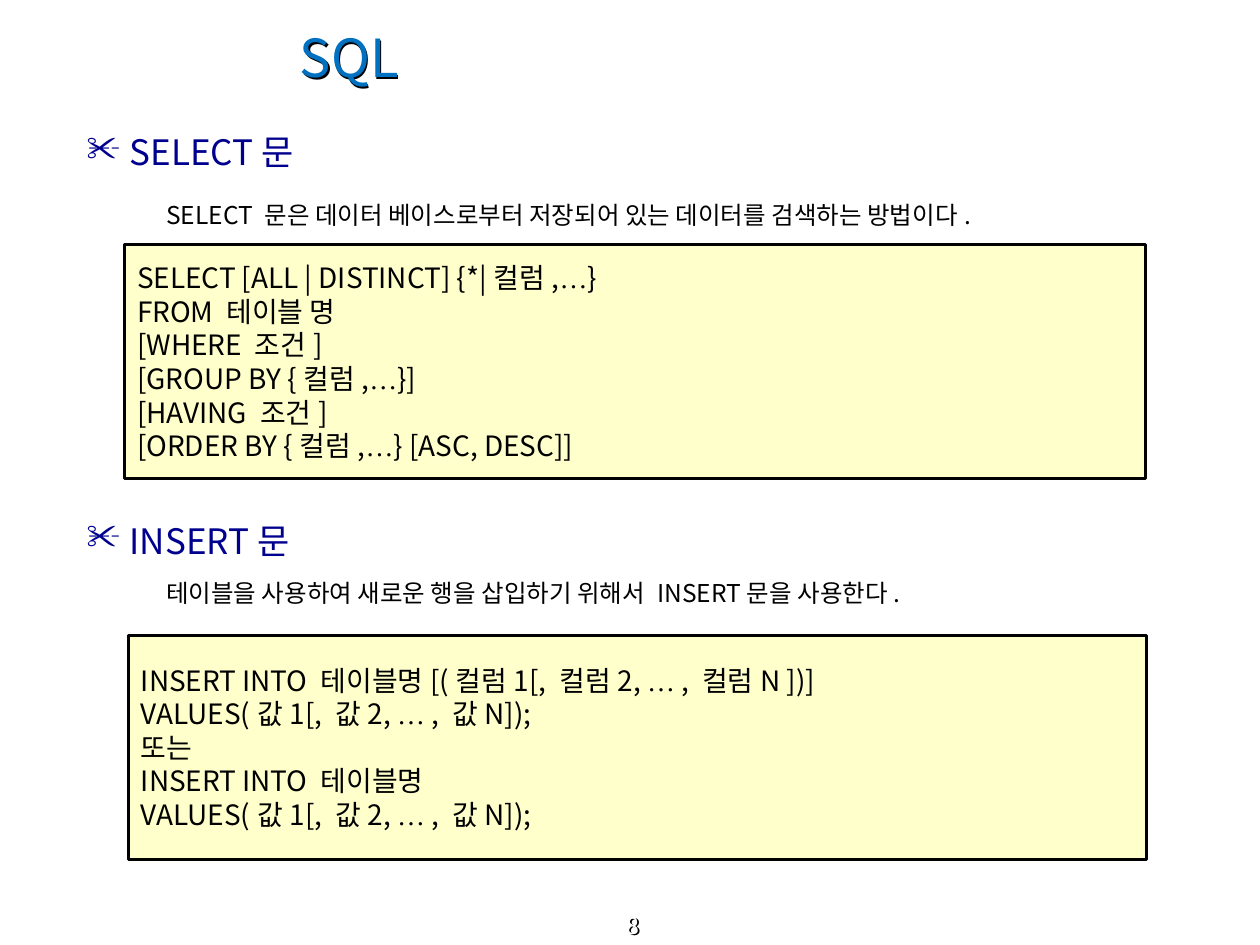
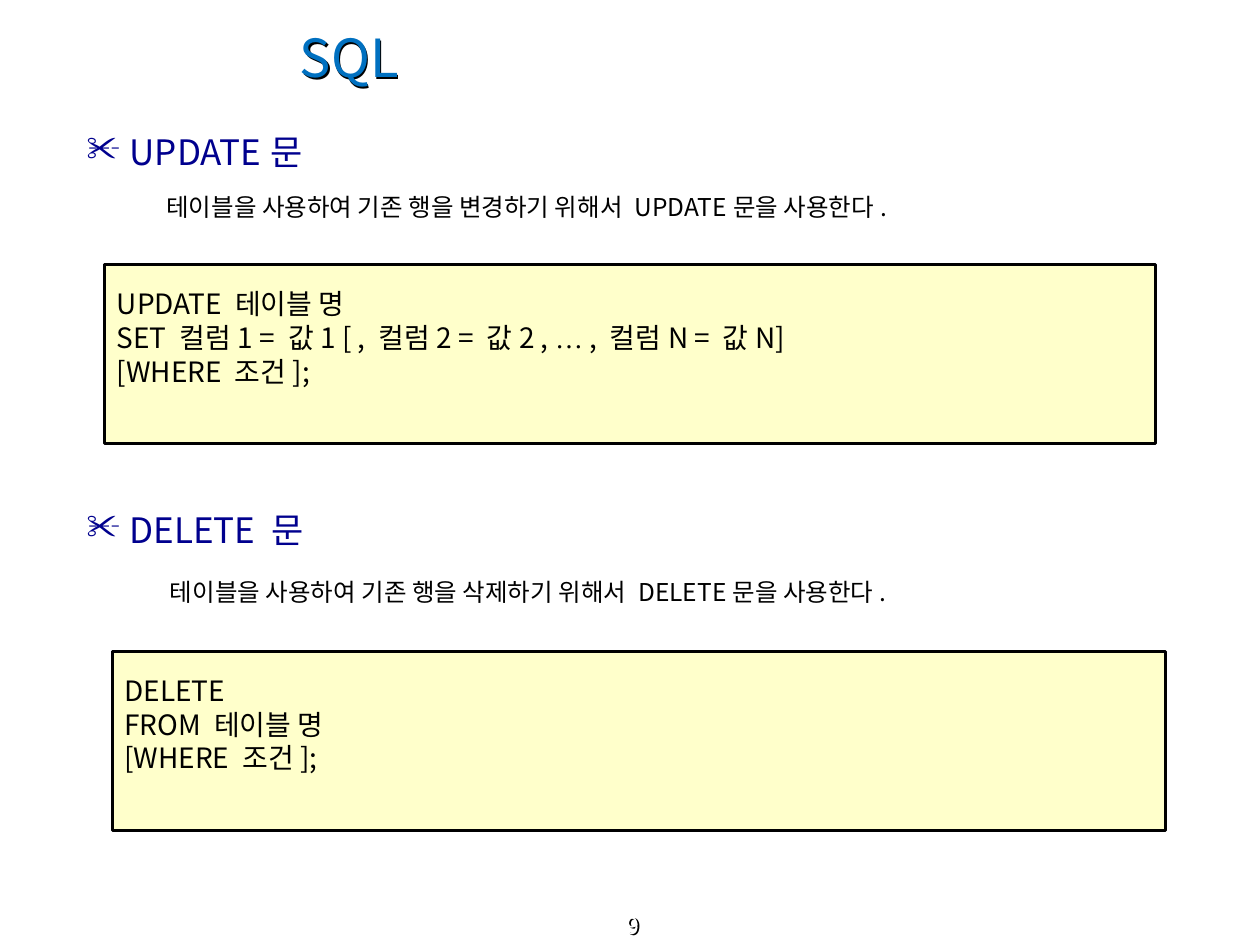
import lxml.etree
import pptx
import pptx.dml.color
import pptx.enum.shapes
import pptx.enum.text
import pptx.oxml.ns
import pptx.util

BLACK = pptx.dml.color.RGBColor(0x00, 0x00, 0x00)
WHITE = pptx.dml.color.RGBColor(0xFF, 0xFF, 0xFF)
TITLE_BLUE = pptx.dml.color.RGBColor(0x00, 0x70, 0xC0)
HEADING_NAVY = pptx.dml.color.RGBColor(0x00, 0x00, 0x8E)
CODE_YELLOW = pptx.dml.color.RGBColor(0xFF, 0xFF, 0x99)
FONT = "Noto Sans CJK KR"
ELLIPSIS_FONT = "Times New Roman"
LINE_HEIGHT = 1.2
FIRST_PAGE = 8

presentation = pptx.Presentation()
presentation.slide_width = pptx.util.Inches(10)
presentation.slide_height = pptx.util.Inches(7.5)
CELL = presentation.slide_width / 100
align = pptx.enum.text.PP_ALIGN
anchors = pptx.enum.text.MSO_ANCHOR
qn = pptx.oxml.ns.qn


def add_element(parent, tag, **attributes):
    return lxml.etree.SubElement(parent, qn(tag), attributes)


def write(shape, cells, lines, size, color, anchor=anchors.TOP,
          alignment=align.LEFT, bullet=None, text_shadow=False):
    shape.left, shape.top, shape.width, shape.height = [round(cell * CELL) for cell in cells]
    shape.shadow.inherit = False
    if text_shadow:
        effects = shape._element.spPr.find(qn("a:effectLst"))
        shadow = add_element(effects, "a:outerShdw", dist="18000", dir="2700000", algn="tl")
        add_element(shadow, "a:srgbClr", val=str(BLACK))
    frame = shape.text_frame
    frame.word_wrap = True
    frame.auto_size = pptx.enum.text.MSO_AUTO_SIZE.NONE
    frame.vertical_anchor = anchor
    for index, line in enumerate(lines):
        paragraph = frame.paragraphs[0] if index == 0 else frame.add_paragraph()
        properties = paragraph._p.get_or_add_pPr()
        indent = pptx.util.Inches(0.34) if bullet else 0
        properties.set("marL", str(indent))
        properties.set("indent", str(-indent))
        if bullet:
            bullet_color = add_element(properties, "a:buClr")
            add_element(bullet_color, "a:srgbClr", val=str(color))
            add_element(properties, "a:buChar", char=bullet)
        else:
            add_element(properties, "a:buNone")
        paragraph.alignment = alignment
        paragraph.space_before = pptx.util.Pt(0)
        paragraph.line_spacing = pptx.util.Pt(size * LINE_HEIGHT)
        paragraph.font.size = pptx.util.Pt(size)
        paragraph.font.color.rgb = color
        paragraph.font.name = FONT
        add_element(properties.find(qn("a:defRPr")), "a:ea", typeface=FONT)
        before, ellipsis, after = line.partition("…")
        for text in filter(None, (before, ellipsis, after)):
            run = paragraph.add_run()
            run.text = text
            if text == "…":
                run.font.name = ELLIPSIS_FONT


pages = [
    [
        {
            "heading": "SELECT문", "heading_row": 9.9,
            "description": "SELECT 문은 데이터 베이스로부터 저장되어 있는 데이터를 검색하는 방법이다.",
            "description_cells": (12.2, 15.4, 80.3, 4.8),
            "code": [
                "SELECT [ALL | DISTINCT] {*|컬럼,…}",
                "FROM 테이블 명",
                "[WHERE 조건]",
                "[GROUP BY {컬럼,…}]",
                "[HAVING 조건]",
                "[ORDER BY {컬럼,…} [ASC, DESC]]",
            ],
            "code_cells": (9.9, 19.4, 81, 18.6), "spare_lines": 0,
        },
        {
            "heading": "INSERT문", "heading_row": 40.7,
            "description": "테이블을 사용하여 새로운 행을 삽입하기 위해서 INSERT문을 사용한다.",
            "description_cells": (12.2, 45.4, 82.5, 4.7),
            "code": [
                "INSERT INTO 테이블명[(컬럼1[, 컬럼2, … , 컬럼N ])]",
                "VALUES(값1[, 값2, … , 값N]);",
                "또는",
                "INSERT INTO 테이블명",
                "VALUES(값1[, 값2, … , 값N]);",
            ],
            "code_cells": (10.2, 50.4, 80.8, 17.8), "spare_lines": 0,
        },
    ],
    [
        {
            "heading": "UPDATE문", "heading_row": 9.9,
            "description": "테이블을 사용하여 기존 행을 변경하기 위해서 UPDATE문을 사용한다.",
            "description_cells": (12.2, 14.7, 76.4, 4.8),
            "code": [
                "UPDATE 테이블 명",
                "SET 컬럼1 = 값1 [ , 컬럼2 = 값2 , … , 컬럼N = 값N]",
                "[WHERE 조건];",
            ],
            "code_cells": (8.3, 21, 83.4, 14.2), "spare_lines": 1,
        },
        {
            "heading": "DELETE 문", "heading_row": 39.9,
            "description": "테이블을 사용하여 기존 행을 삭제하기 위해서 DELETE문을 사용한다.",
            "description_cells": (12.5, 45.3, 82.5, 4.8),
            "code": ["DELETE", "FROM 테이블 명", "[WHERE 조건];"],
            "code_cells": (8.9, 51.7, 83.6, 14.2), "spare_lines": 1,
        },
    ],
]

for page_number, statements in enumerate(pages, FIRST_PAGE):
    slide = presentation.slides.add_slide(presentation.slide_layouts[1])
    title, body = slide.placeholders
    write(title, (22.8, 1.1, 64.9, 6.8), ["SQL"], 30, TITLE_BLUE,
          anchor=anchors.MIDDLE, text_shadow=True)
    footer = slide.shapes.add_textbox(0, 0, 0, 0)
    write(footer, (0, 72.8, 100.5, 2.2), [str(page_number)], 13, WHITE,
          anchor=anchors.BOTTOM, alignment=align.CENTER, text_shadow=True)

    for index, statement in enumerate(statements):
        heading = slide.shapes.add_textbox(0, 0, 0, 0)
        write(heading, (5.9, statement["heading_row"], 64.6, 4.7), [statement["heading"]],
              20, HEADING_NAVY, bullet="✂")
        description = body if index == 0 else slide.shapes.add_textbox(0, 0, 0, 0)
        write(description, statement["description_cells"], [statement["description"]], 14, BLACK)

        code_box = slide.shapes.add_shape(pptx.enum.shapes.MSO_SHAPE.RECTANGLE, 0, 0, 0, 0)
        write(code_box, statement["code_cells"], statement["code"], 16, BLACK,
              anchor=anchors.MIDDLE)
        code_box.text_frame.margin_bottom = pptx.util.Pt(
            3.6 + statement["spare_lines"] * 16 * LINE_HEIGHT)
        code_box.fill.solid()
        code_box.fill.fore_color.rgb = CODE_YELLOW
        fill_color = code_box._element.spPr.find(qn("a:solidFill"))[0]
        add_element(fill_color, "a:alpha", val="50000")
        code_box.line.color.rgb = BLACK
        code_box.line.width = pptx.util.Pt(1.75)

presentation.save("out.pptx")
